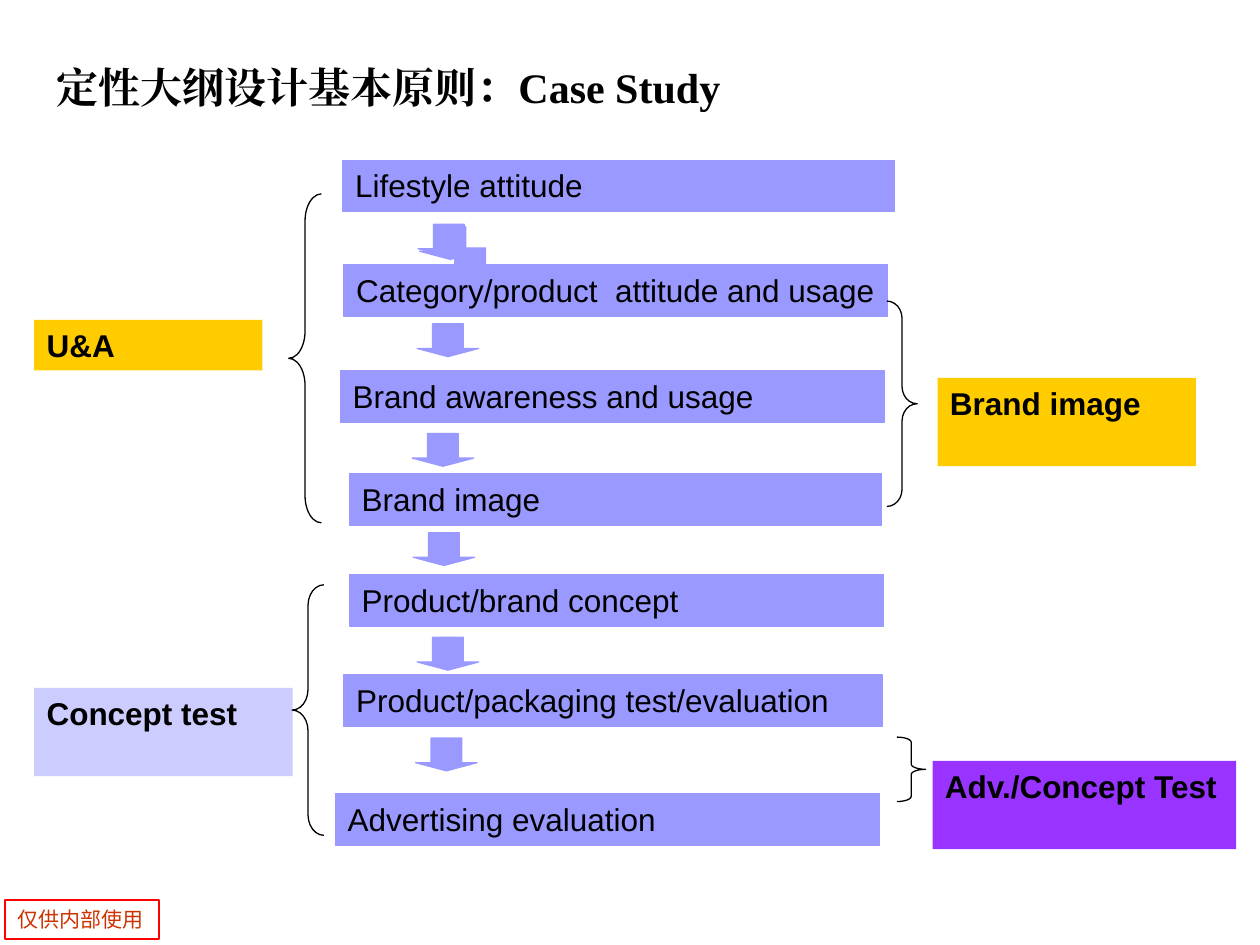
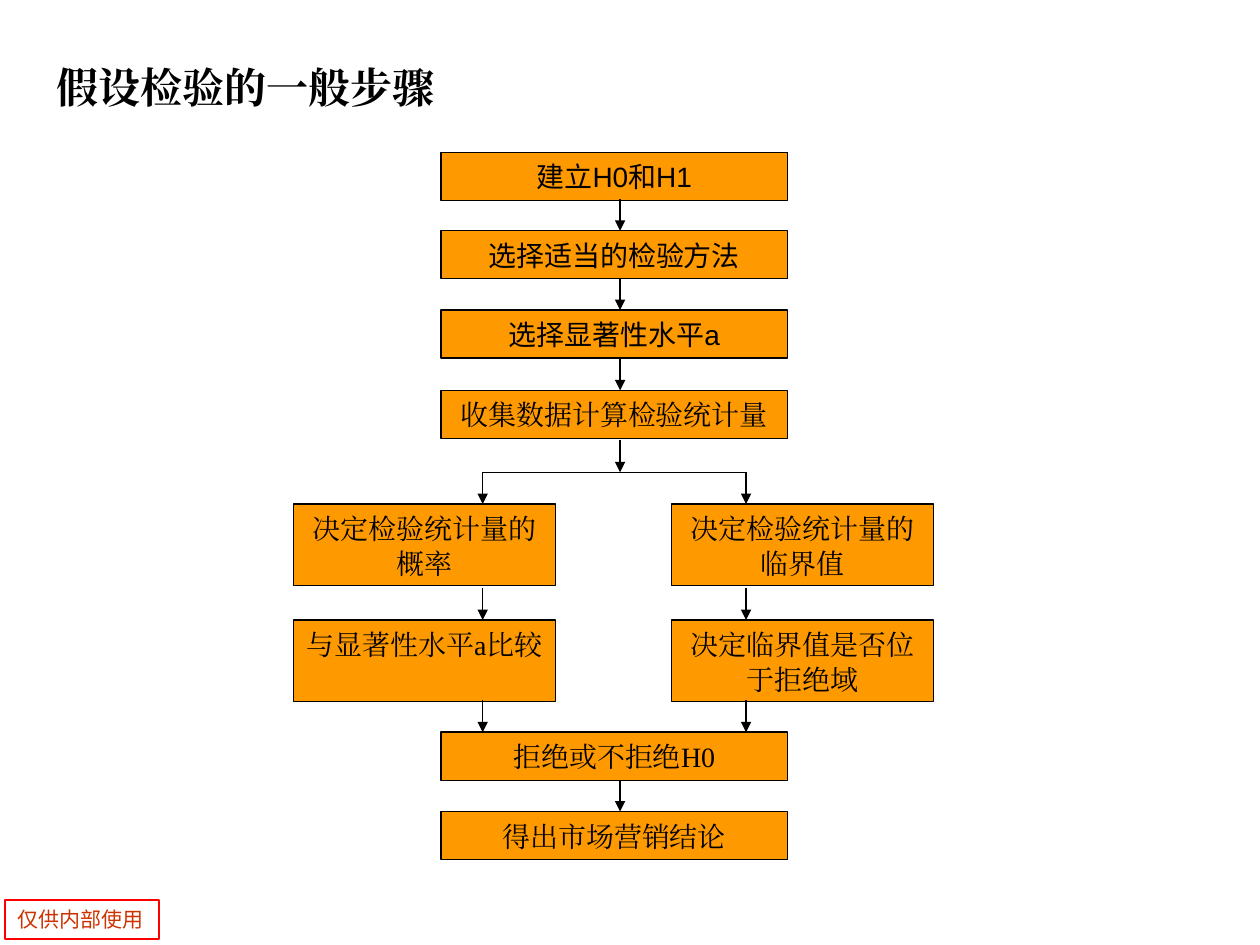
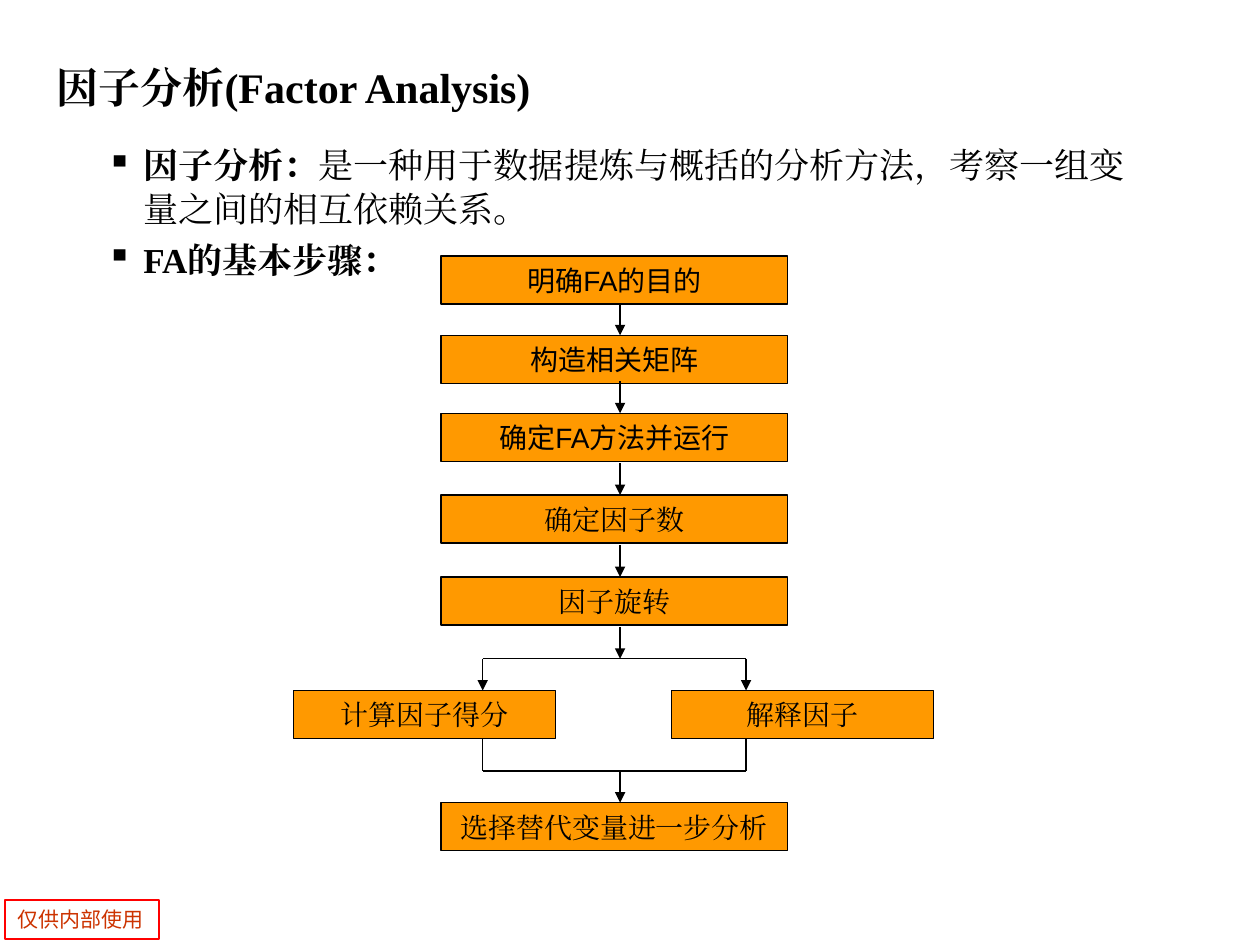
from dataclasses import dataclass
from lxml import etree
from pptx import Presentation
from pptx.dml.color import RGBColor
from pptx.enum.shapes import MSO_CONNECTOR, MSO_SHAPE
from pptx.enum.text import MSO_ANCHOR, PP_ALIGN
from pptx.oxml.ns import qn
from pptx.util import Cm, Pt

RECTANGLE = MSO_SHAPE.RECTANGLE
DOWN_ARROW = MSO_SHAPE.DOWN_ARROW
LEFT_BRACE = MSO_SHAPE.LEFT_BRACE
RIGHT_BRACE = MSO_SHAPE.RIGHT_BRACE
STRAIGHT = MSO_CONNECTOR.STRAIGHT
TOP, MIDDLE = MSO_ANCHOR.TOP, MSO_ANCHOR.MIDDLE
LEFT, CENTER = PP_ALIGN.LEFT, PP_ALIGN.CENTER


@dataclass(frozen=True)
class Theme:
    sans: str = "Arial"
    serif: str = "Times New Roman"
    chinese: str = "Noto Sans CJK SC"
    black: str = "000000"
    topic: str = "9999FF"
    yellow: str = "FFCC00"
    lavender: str = "CCCCFF"
    purple: str = "9933FF"
    step: str = "FF9900"
    stamp_line: str = "FF0000"
    stamp_text: str = "CC3300"
    title_size: int = 24
    body_size: int = 20
    topic_size: int = 18
    step_size: int = 16
    stamp_size: int = 12
    thin: float = 0.75
    chinese_spacing: float = 1.04


THEME = Theme()
SANS, SERIF = THEME.sans, THEME.serif

STAMP = "仅供内部使用"
STAMP_PLACE = (0.1, 18.14, 3.1, 0.79)
TITLE_PLACE = (0.89, 0.58, 24, 2.34)
BODY_PLACE = (1.9, 2.74, 21.6, 3.18)

CASE_TITLE = "定性大纲设计基本原则：Case Study"
TOPIC_HEIGHT = 1.04
TOPICS = [
    ("Lifestyle attitude", 6.91, 3.23, 11.13),
    ("Category/product  attitude and usage", 6.93, 5.33, 10.97),
    ("Brand awareness and usage", 6.86, 7.47, 10.97),
    ("Brand image", 7.04, 9.55, 10.72),
    ("Product/brand concept", 7.04, 11.58, 10.77),
    ("Product/packaging test/evaluation", 6.93, 13.61, 10.85),
    ("Advertising evaluation", 6.76, 16, 10.97),
]
ARROW_SIZE = (1.24, 0.66)
ARROWS = [
    (8.43, 4.52), (8.46, 4.57), (8.86, 5), (8.41, 6.53),
    (8.31, 8.74), (8.33, 10.74), (8.41, 12.85), (8.38, 14.88),
]
STUDIES = [
    ("U&A", THEME.yellow, (0.69, 6.45, 4.6, 1.02)),
    ("Brand image", THEME.yellow, (18.9, 7.62, 5.21, 1.78)),
    ("Concept test", THEME.lavender, (0.69, 13.87, 5.21, 1.78)),
    ("Adv./Concept Test", THEME.purple, (18.8, 15.34, 6.12, 1.78)),
]
BRACES = [
    (LEFT_BRACE, (5.82, 3.91, 0.66, 6.63), 0.83),
    (RIGHT_BRACE, (17.88, 6.07, 0.61, 4.14), 0.57),
    (LEFT_BRACE, (5.89, 11.79, 0.64, 5.05), 0.65),
    (RIGHT_BRACE, (18.08, 14.86, 0.58, 1.3), 0.18),
]

SHORT, TALL = 0.97, 1.65
TEST_TITLE = "假设检验的一般步骤"
TEST_STEPS = [
    (3.07, SHORT, SANS, ["建立H0和H1"]),
    (4.65, SHORT, SANS, ["选择适当的检验方法"]),
    (6.25, SHORT, SANS, ["选择显著性水平a"]),
    (7.87, SHORT, SERIF, ["收集数据计算检验统计量"]),
    (10.16, TALL, SERIF, ["决定检验统计量的概率", "决定检验统计量的临界值"]),
    (12.5, TALL, SERIF, ["与显著性水平a比较", "决定临界值是否位于拒绝域"]),
    (14.76, SHORT, SERIF, ["拒绝或不拒绝H0"]),
    (16.36, SHORT, SERIF, ["得出市场营销结论"]),
]

FACTOR_TITLE = "因子分析(Factor Analysis)"
FACTOR_BULLETS = [
    [("因子分析：", True),
     ("是一种用于数据提炼与概括的分析方法，考察一组变量之间的相互依赖关系。", False)],
    [("FA的基本步骤：", True)],
]
FACTOR_STEPS = [
    (5.16, SHORT, SANS, ["明确FA的目的"]),
    (6.76, SHORT, SANS, ["构造相关矩阵"]),
    (8.33, SHORT, SANS, ["确定FA方法并运行"]),
    (9.98, SHORT, SERIF, ["确定因子数"]),
    (11.63, SHORT, SERIF, ["因子旋转"]),
    (13.92, SHORT, SERIF, ["计算因子得分", "解释因子"]),
    (16.18, SHORT, SERIF, ["选择替代变量进一步分析"]),
]

STEP_COLUMNS = {1: ([8.89], 6.99), 2: ([5.92, 13.54], 5.28)}
TRUNK = 12.5
BRANCHES = [9.73, 15.04]
LINK = 0.64


def rgb(value):
    return RGBColor.from_string(value)


def place(values):
    return [Cm(value) for value in values]


def style_run(run, size, font, color=THEME.black, bold=False):
    run.font.size = Pt(size)
    run.font.bold = bold
    run.font.color.rgb = rgb(color)
    run.font.name = font
    east_asian = etree.SubElement(run.font._element, qn("a:ea"))
    east_asian.set("typeface", font)


def write(shape, text, size, font, color=THEME.black, bold=False,
          align=LEFT, anchor=TOP, spacing=None):
    frame = shape.text_frame
    frame.word_wrap = True
    frame.vertical_anchor = anchor
    frame.text = text
    paragraph = frame.paragraphs[0]
    paragraph.alignment = align
    paragraph.line_spacing = spacing
    style_run(paragraph.runs[0], size, font, color, bold)


def add_shape(slide, kind, position, fill=None, line=None, width=THEME.thin):
    shape = slide.shapes.add_shape(kind, *place(position))
    shape.shadow.inherit = False
    if fill:
        shape.fill.solid()
        shape.fill.fore_color.rgb = rgb(fill)
    else:
        shape.fill.background()
    if line:
        shape.line.color.rgb = rgb(line)
        shape.line.width = Pt(width)
    else:
        shape.line.fill.background()
    return shape


def add_line(slide, start, end, arrow=False):
    connector = slide.shapes.add_connector(STRAIGHT, *place(start + end))
    connector.line.color.rgb = rgb(THEME.black)
    connector.line.width = Pt(THEME.thin)
    if arrow:
        head = etree.SubElement(connector.line._get_or_add_ln(), qn("a:tailEnd"))
        head.set("type", "triangle")
    etree.SubElement(connector._element.spPr, qn("a:effectLst"))


def add_slide(presentation, title):
    slide = presentation.slides.add_slide(presentation.slide_layouts[6])
    stamp = add_shape(slide, RECTANGLE, STAMP_PLACE, line=THEME.stamp_line, width=1)
    write(stamp, STAMP, THEME.stamp_size, THEME.chinese, THEME.stamp_text, anchor=MIDDLE)
    heading = slide.shapes.add_textbox(*place(TITLE_PLACE))
    write(heading, title, THEME.title_size, SERIF, bold=True, anchor=MIDDLE)
    return slide


def add_bullets(slide, bullets):
    frame = slide.shapes.add_textbox(*place(BODY_PLACE)).text_frame
    frame.word_wrap = True
    for index, parts in enumerate(bullets):
        paragraph = frame.add_paragraph() if index else frame.paragraphs[0]
        paragraph.line_spacing = THEME.chinese_spacing
        if index:
            paragraph.space_before = Pt(4)
        properties = paragraph._p.get_or_add_pPr()
        properties.set("marL", str(Cm(0.74)))
        properties.set("indent", str(-Cm(0.74)))
        etree.SubElement(properties, qn("a:buChar")).set("char", "▪")
        for text, bold in parts:
            run = paragraph.add_run()
            run.text = text
            style_run(run, THEME.body_size, SERIF, bold=bold)


def link_steps(slide, before, after, top, merge):
    joint = top - LINK
    changes = before != after
    if changes and (after == 2 or merge):
        add_line(slide, (BRANCHES[0], joint), (BRANCHES[1], joint))
    if after == 2 and changes:
        add_line(slide, (TRUNK, joint - LINK), (TRUNK, joint), arrow=True)
    if before == 2 and changes and merge:
        for x in BRANCHES:
            add_line(slide, (x, joint - LINK), (x, joint))
    direct = after == 1 and (before == 1 or merge)
    for x in [TRUNK] if direct else BRANCHES:
        add_line(slide, (x, joint), (x, top), arrow=True)


def add_flow(slide, steps, merge=False):
    for top, height, font, texts in steps:
        columns, width = STEP_COLUMNS[len(texts)]
        for left, text in zip(columns, texts):
            box = add_shape(slide, RECTANGLE, (left, top, width, height),
                            THEME.step, THEME.black)
            write(box, text, THEME.step_size, font, align=CENTER,
                  spacing=THEME.chinese_spacing)
    for previous, current in zip(steps, steps[1:]):
        link_steps(slide, len(previous[3]), len(current[3]), current[0], merge)


def build_case_study(presentation):
    slide = add_slide(presentation, CASE_TITLE)
    for text, left, top, width in TOPICS:
        box = add_shape(slide, RECTANGLE, (left, top, width, TOPIC_HEIGHT),
                        THEME.topic, THEME.topic)
        write(box, text, THEME.topic_size, SANS)
    for corner in ARROWS:
        arrow = add_shape(slide, DOWN_ARROW, corner + ARROW_SIZE, THEME.topic, THEME.topic)
        arrow.adjustments[0] = 0.5
        arrow.adjustments[1] = 0.25
    for text, fill, position in STUDIES:
        label = add_shape(slide, RECTANGLE, position, fill)
        write(label, text, THEME.topic_size, SANS, bold=True)
    for kind, position, curve in BRACES:
        brace = add_shape(slide, kind, position, line=THEME.black)
        brace.adjustments[0] = curve
        brace.adjustments[1] = 0.5


def main():
    presentation = Presentation()
    presentation.slide_width = Cm(25.4)
    presentation.slide_height = Cm(19.05)
    build_case_study(presentation)
    add_flow(add_slide(presentation, TEST_TITLE), TEST_STEPS)
    factor_slide = add_slide(presentation, FACTOR_TITLE)
    add_bullets(factor_slide, FACTOR_BULLETS)
    add_flow(factor_slide, FACTOR_STEPS, merge=True)
    presentation.save("out.pptx")


if __name__ == "__main__":
    main()
